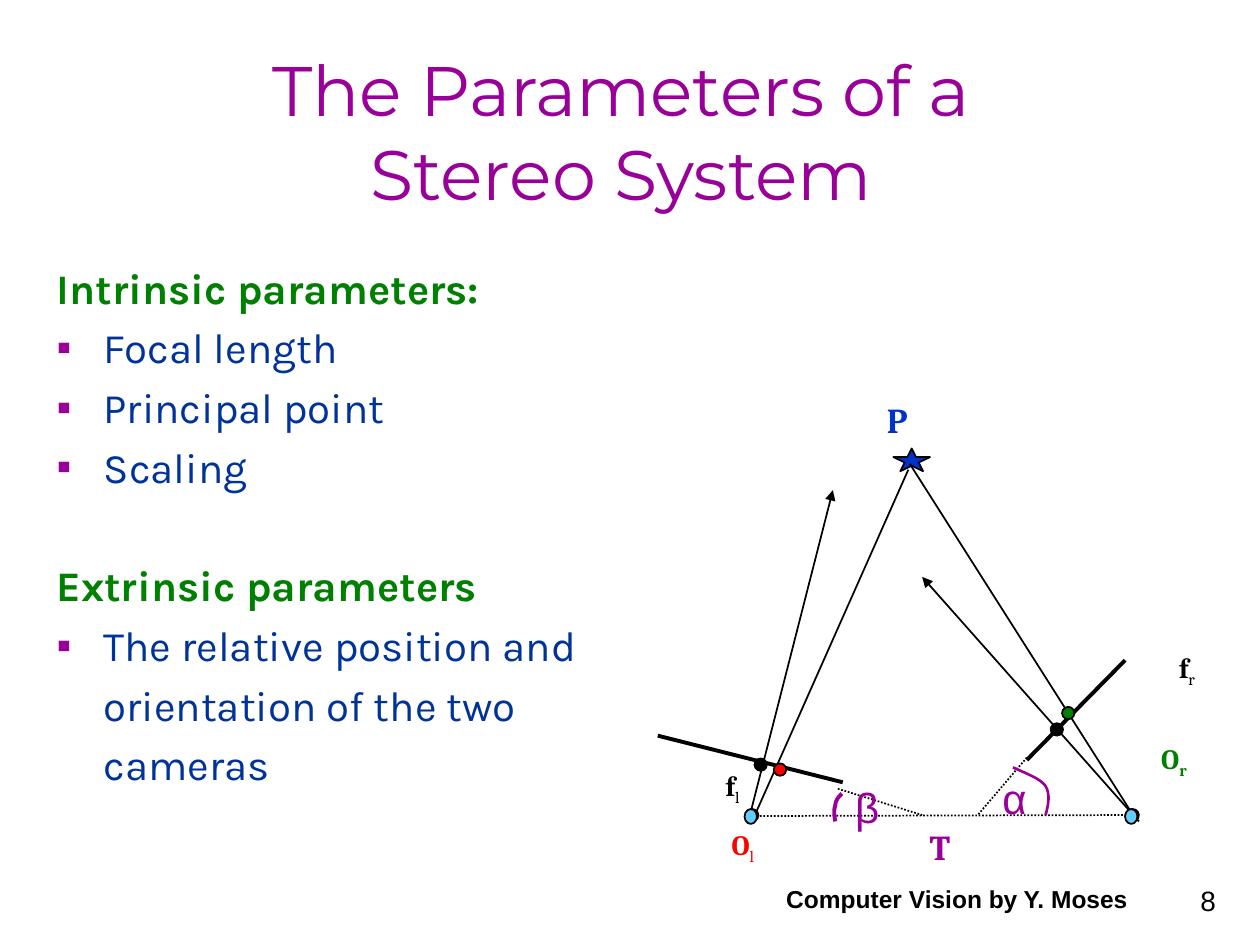
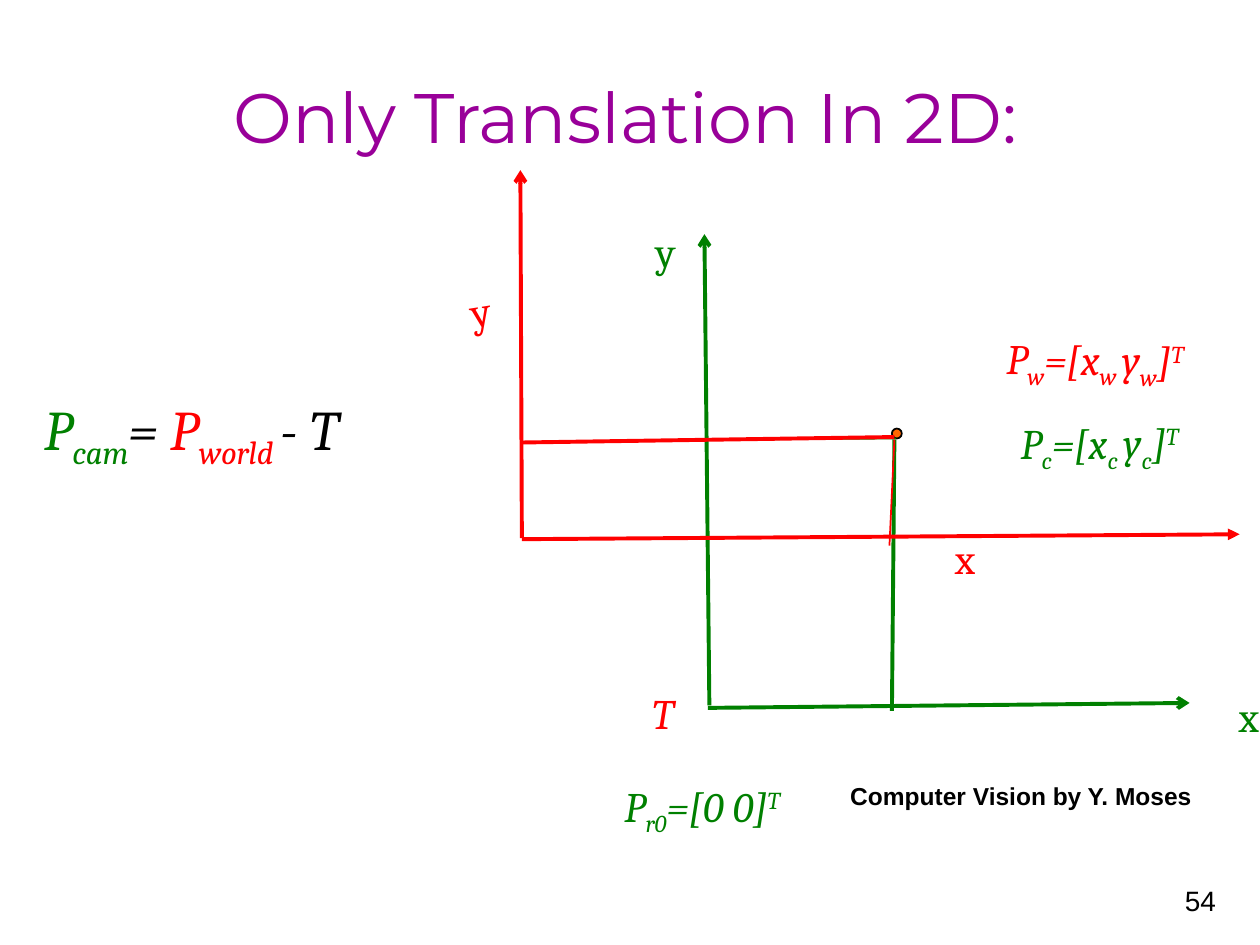
"""Build two stereo vision slides: system parameters and a 2D translation."""
from dataclasses import dataclass
from itertools import zip_longest

from lxml.etree import SubElement
from pptx import Presentation
from pptx.dml.color import RGBColor
from pptx.enum.dml import MSO_LINE as Dash
from pptx.enum.shapes import MSO_CONNECTOR as Link, MSO_SHAPE as Kind
from pptx.enum.text import MSO_ANCHOR as Anchor, PP_ALIGN as Align
from pptx.oxml.ns import qn
from pptx.slide import Slide
from pptx.util import Cm, Pt

HUES = {
    "black": "000000", "purple": "990099", "green": "008000", "red": "FF0000",
    "navy": "003399", "blue": "0033CC", "sky": "66CCFF", "orange": "FF6600",
}
HEAD, BODY, MATH, PLAIN = "Montserrat", "Karla", "Cambria", "Arial"
SUB, SUP = -25, 30
INDENT = 0.95


@dataclass
class Bit:
    text: str
    shift: int = 0
    hue: str = ""
    thin: bool = False


@dataclass
class Label:
    x: float
    y: float
    wide: float
    high: float
    bits: list[Bit]
    size: float
    hue: str = "black"
    font: str = MATH
    bold: bool = False
    slant: bool = False
    turn: float = 0
    align: Align = Align.LEFT
    anchor: Anchor = Anchor.TOP


@dataclass
class Line:
    x1: float
    y1: float
    x2: float
    y2: float
    hue: str = "black"
    width: float = 1
    tip: str = ""
    dots: bool = False


@dataclass
class Mark:
    x: float
    y: float
    hue: str
    wide: float = 0.25
    high: float = 0.25
    kind: Kind = Kind.OVAL


@dataclass
class Curve:
    points: list[tuple[float, float]]
    width: float


@dataclass
class Item:
    text: str
    head: bool = False
    bullet: bool = False
    gap: float = 5.3


def rgb(hue: str) -> RGBColor:
    return RGBColor.from_string(HUES[hue])


def style(run, font: str, size: float, hue: str, bold: bool = False) -> None:
    run.font.name, run.font.size, run.font.bold = font, Pt(size), bold
    run.font.color.rgb = rgb(hue)


def add_box(slide: Slide, x: float, y: float, wide: float, high: float):
    box = slide.shapes.add_textbox(Cm(x), Cm(y), Cm(wide), Cm(high))
    box.text_frame.word_wrap = True
    return box


def add_label(slide: Slide, label: Label) -> None:
    box = add_box(slide, label.x, label.y, label.wide, label.high)
    box.rotation = label.turn
    box.text_frame.vertical_anchor = label.anchor
    para = box.text_frame.paragraphs[0]
    para.alignment = label.align
    first, *rest = label.bits
    para.text = first.text
    for bit in rest:
        para.add_run().text = bit.text
    for run, bit in zip_longest(para.runs, label.bits, fillvalue=label.bits[-1]):
        style(run, label.font, label.size, bit.hue or label.hue,
              label.bold and not bit.thin)
        run.font.italic = label.slant
        if bit.shift:
            run._r.get_or_add_rPr().set("baseline", str(bit.shift * 1000))


def add_line(slide: Slide, line: Line) -> None:
    link = slide.shapes.add_connector(
        Link.STRAIGHT, Cm(line.x1), Cm(line.y1), Cm(line.x2), Cm(line.y2))
    link.line.color.rgb, link.line.width = rgb(line.hue), Pt(line.width)
    if line.dots:
        link.line.dash_style = Dash.ROUND_DOT
    if line.tip:
        SubElement(link.line._get_or_add_ln(), qn("a:tailEnd"), type=line.tip)
    SubElement(link._element.spPr, qn("a:effectLst"))


def add_mark(slide: Slide, mark: Mark) -> None:
    shape = slide.shapes.add_shape(
        mark.kind, Cm(mark.x), Cm(mark.y), Cm(mark.wide), Cm(mark.high))
    shape.shadow.inherit = False
    shape.fill.solid()
    shape.fill.fore_color.rgb = rgb(mark.hue)
    shape.line.color.rgb, shape.line.width = rgb("black"), Pt(1)


def bezier(ends: list[tuple[float, float]], t: float) -> tuple[int, int]:
    rates = ((1 - t) ** 3, 3 * t * (1 - t) ** 2, 3 * t * t * (1 - t), t ** 3)
    x, y = (sum(r * p[axis] for r, p in zip(rates, ends)) for axis in (0, 1))
    return Cm(x), Cm(y)


def add_curve(slide: Slide, curve: Curve, steps: int = 10) -> None:
    path = [bezier(curve.points[k:k + 4], n / steps)
            for k in range(0, len(curve.points) - 1, 3)
            for n in range(steps + 1)]
    pen = slide.shapes.build_freeform(*path[0])
    pen.add_line_segments(path[1:], close=False)
    shape = pen.convert_to_shape()
    shape.shadow.inherit = False
    shape.fill.background()
    shape.line.color.rgb, shape.line.width = rgb("purple"), Pt(curve.width)


def add_list(slide: Slide, items: list[Item]) -> None:
    frame = add_box(slide, 0.89, 5.16, 22.71, 11.58).text_frame
    frame.text = "\n".join(item.text for item in items)
    for para, item in zip(frame.paragraphs, items):
        para.space_before = Pt(item.gap)
        style(para.runs[0], BODY, 24, "green" if item.head else "navy", item.head)
        props = para._p.get_or_add_pPr()
        props.set("marL", str(0 if item.head else Cm(INDENT)))
        props.set("indent", str(-Cm(INDENT) if item.bullet else 0))
        if item.bullet:
            tint = SubElement(props, qn("a:buClr"))
            SubElement(tint, qn("a:srgbClr"), val=HUES["purple"])
            SubElement(props, qn("a:buFont"), typeface=PLAIN)
            SubElement(props, qn("a:buChar"), char="▪")
        else:
            SubElement(props, qn("a:buNone"))


DRAW = {Label: add_label, Line: add_line, Mark: add_mark, Curve: add_curve}


def add_all(slide: Slide, parts: list) -> None:
    for part in parts:
        DRAW[type(part)](slide, part)


def title(text: str, y: float, wide: float, high: float) -> Label:
    return Label(1.91, y, wide, high, [Bit(text)], 40, "purple", HEAD,
                 align=Align.CENTER, anchor=Anchor.BOTTOM)


def footer(x: float, y: float, page: int) -> list[Label]:
    return [
        Label(19.48, 17.35, 5.28, 1.27, [Bit(str(page))], 16, font=PLAIN,
              align=Align.RIGHT, anchor=Anchor.BOTTOM),
        Label(x, y, 8.05, 1.27, [Bit("Computer Vision by Y. Moses")], 14,
              font=PLAIN, bold=True, align=Align.CENTER, anchor=Anchor.BOTTOM),
    ]


def camera(x: float, y: float, name: str, side: str, hue: str,
           thin: bool = True) -> Label:
    return Label(x, y, 1.4, 0.94, [Bit(name), Bit(side, SUB, thin=thin)], 16,
                 hue, bold=True)


def vector(x: float, y: float, wide: float, sub: str, hue: str,
           turn: float) -> Label:
    bits = [Bit("P"), Bit(sub, SUB), Bit("=[x"), Bit(sub + " ", SUB),
            Bit("y"), Bit(sub, SUB), Bit("]"), Bit("T", SUP)]
    return Label(x, y, wide, 1.27, bits, 24, hue, slant=True, turn=turn)


def axis(x: float, y: float, name: str, hue: str, turn: float = 0) -> Label:
    return Label(x, y, 1.4, 1.27, [Bit(name)], 24, hue, turn=turn,
                 align=Align.RIGHT)


def stereo(slide: Slide) -> None:
    add_all(slide, footer(15.27, 17.27, 8))
    add_list(slide, [
        Item("Intrinsic parameters:", head=True),
        Item("Focal length", bullet=True),
        Item("Principal point", bullet=True),
        Item("Scaling", bullet=True),
        Item("Extrinsic parameters", head=True, gap=39),
        Item("The relative position and", bullet=True),
        Item("orientation of the two"),
        Item("cameras"),
    ])
    add_all(slide, [
        Mark(18.01, 9.04, "blue", 0.74, 0.46, Kind.STAR_5_POINT),
        Line(13.26, 14.83, 16.99, 15.77, width=2.25),
        Line(20.7, 15.32, 22.68, 13.31, width=2.25),
        Line(15.11, 16.46, 16.79, 9.88, tip="triangle"),
        Line(22.96, 16.56, 18.59, 11.63, tip="triangle"),
        Line(18.31, 9.47, 15.16, 16.56),
        Line(18.34, 9.35, 22.86, 16.46),
        Line(15.11, 16.45, 22.83, 16.43, dots=True),
        Line(16.89, 15.9, 18.59, 16.43, dots=True),
        Line(20.7, 15.27, 19.71, 16.43, dots=True),
        Mark(15.04, 16.31, "black"),
        Mark(22.71, 16.31, "black"),
        Mark(21.41, 14.25, "green"),
        Mark(15.6, 15.39, "red"),
        Mark(15.21, 15.29, "black"),
        Mark(21.18, 14.58, "black"),
        Mark(15.01, 16.31, "sky", high=0.3),
        Mark(22.68, 16.31, "sky", high=0.3),
        Curve([(20.42, 15.47), (20.7, 15.6), (20.98, 15.7), (21.08, 15.85),
               (21.18, 16.03), (21.13, 16.23), (21.08, 16.43)], 1.5),
        Curve([(16.97, 16), (16.92, 16.05), (16.84, 16.13), (16.84, 16.23),
               (16.81, 16.31), (16.81, 16.43), (16.84, 16.56)], 2.25),
        camera(23.16, 14.83, "O", "r", "green", thin=False),
        camera(23.52, 12.98, "f", "r", "black"),
        camera(14.5, 16.56, "O", "l", "red"),
        camera(14.38, 15.37, "f", "l", "black"),
        Label(18.49, 16.51, 1.22, 1.09, [Bit("T")], 20, "purple", bold=True),
        Label(17.63, 7.9, 1.24, 1.09, [Bit("P")], 20, "blue", bold=True),
        Label(19.96, 15.44, 1.47, 1.27, [Bit("α")], 24, "purple", PLAIN),
        Label(16.99, 15.62, 1.4, 1.27, [Bit("β")], 24, "purple", PLAIN),
        title("The Parameters of a \vStereo System ", 1.27, 21.59, 3.18),
    ])


def shift(slide: Slide) -> None:
    add_all(slide, footer(16.56, 15.19, 54))
    add_all(slide, [
        title("Only Translation In 2D:", 1.6, 21.39, 1.7),
        Mark(17.98, 8.64, "orange", 0.2, 0.2),
        Line(14.3, 14.22, 14.2, 4.72, "green", 2.25, "arrow"),
        Line(14.27, 14.27, 23.98, 14.17, "green", 2.25, "arrow"),
        Line(18.06, 8.84, 14.27, 8.86, "green"),
        Line(18.03, 8.86, 17.98, 14.33, "green", 2.25),
        Line(10.52, 10.85, 10.49, 3.43, "red", 2.25, "arrow"),
        Line(10.52, 10.87, 24.99, 10.77, "red", 2.25, "triangle"),
        Line(18.03, 8.86, 17.93, 11, "red"),
        Line(18.03, 8.81, 10.54, 8.92, "red", 2.25),
        Label(12.9, 13.74, 0.99, 1.27, [Bit("T")], 24, "red", slant=True),
        axis(12.47, 4.42, "y", "green", 0.9),
        axis(8.74, 5.66, "y", "red", 351.1),
        axis(24.23, 13.79, "x", "green"),
        axis(18.51, 10.62, "x", "red"),
        vector(20.04, 6.6, 4.62, "w", "red", 0.5),
        vector(20.32, 8.28, 4.27, "c", "green", 359.6),
        Label(12.34, 15.6, 4.06, 1.27,
              [Bit("P"), Bit("r0", SUB), Bit("=[0 0]"), Bit("T", SUP)],
              24, "green", slant=True),
        Label(0.64, 7.82, 9.96, 1.63,
              [Bit("P", hue="green"), Bit("cam", SUB, "green"), Bit("= "),
               Bit("P", hue="red"), Bit("world ", SUB, "red"), Bit("- T")],
              32, slant=True),
    ])


def main() -> None:
    deck = Presentation()
    deck.slide_width, deck.slide_height = Cm(25.4), Cm(19.05)
    for build in (stereo, shift):
        build(deck.slides.add_slide(deck.slide_layouts[6]))
    deck.save("out.pptx")


if __name__ == "__main__":
    main()
